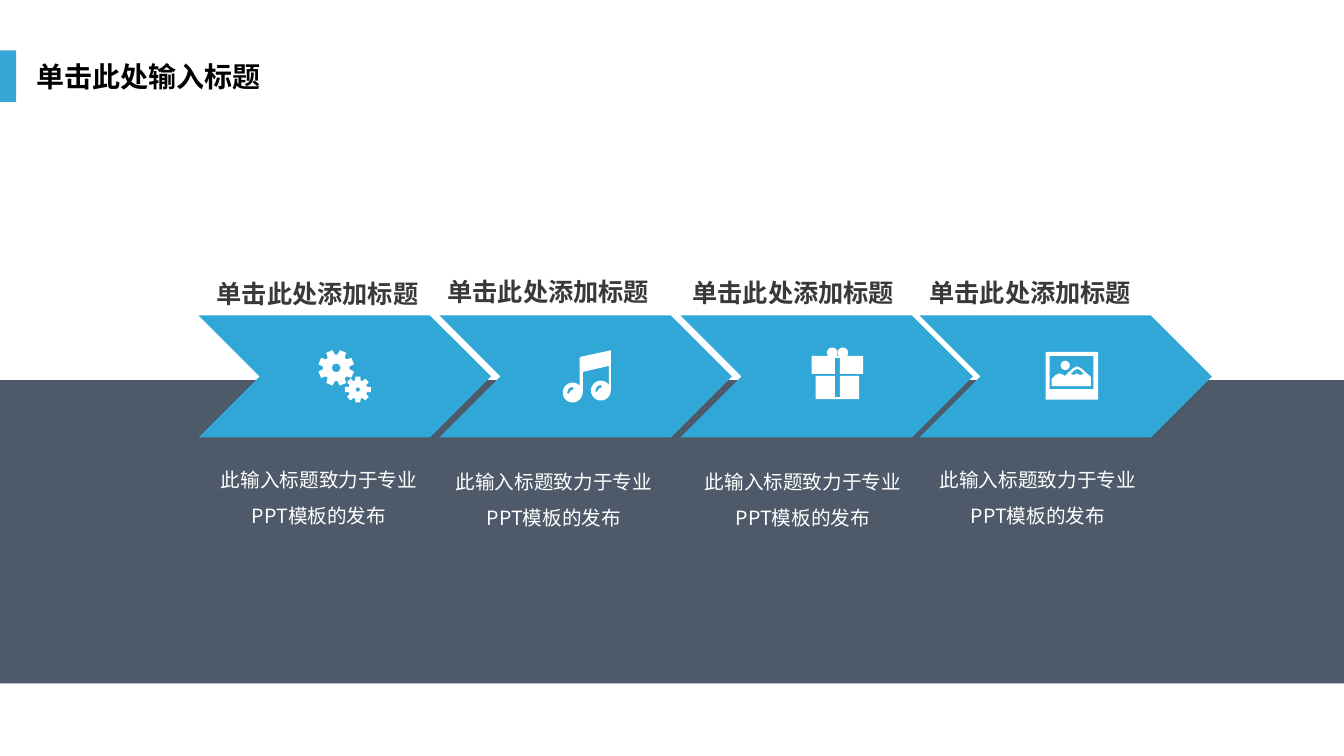
"""Build a slide with four chevron steps, each with an icon, a heading and a caption."""
from dataclasses import dataclass
from math import cos, radians, sin

from lxml.etree import SubElement
from pptx import Presentation
from pptx.dml.color import RGBColor
from pptx.enum.shapes import MSO_SHAPE as Preset
from pptx.enum.text import MSO_ANCHOR as Anchor, MSO_AUTO_SIZE as AutoSize, PP_ALIGN as Align
from pptx.oxml.ns import qn
from pptx.shapes.autoshape import Shape
from pptx.slide import Slide
from pptx.util import Emu, Pt

PX = 9144
FINE = 10
FONT = "Noto Sans CJK SC"
ACCENT = RGBColor(0x34, 0xA7, 0xD7)
CHEVRON = RGBColor(0x31, 0xA7, 0xD7)
SLATE = RGBColor(0x4E, 0x5A, 0x6A)
INK = RGBColor(0x3B, 0x38, 0x38)
BLACK = RGBColor(0, 0, 0)
WHITE = RGBColor(0xFF, 0xFF, 0xFF)

Point = tuple[float, float]
Contour = list[Point]
Piece = list[Contour]


@dataclass(frozen=True)
class Box:
    left: int
    top: int
    width: int
    height: int

    def emu(self) -> tuple[Emu, ...]:
        return tuple(Emu(n * PX) for n in (self.left, self.top, self.width, self.height))


@dataclass(frozen=True)
class TextStyle:
    size: int
    color: RGBColor
    bold: bool = False
    align: Align = Align.LEFT
    line_spacing: float = 1.0
    wrap: bool = True


@dataclass(frozen=True)
class Step:
    chevron_left: int
    heading: Box
    caption: Box
    icon: list[Piece]


TITLE = TextStyle(20, BLACK, bold=True)
HEADING = TextStyle(18, INK, bold=True, wrap=False)
CAPTION = TextStyle(14, WHITE, align=Align.CENTER, line_spacing=1.5)


def polar(x: float, y: float, radius: float, angle: float) -> Point:
    return x + radius * cos(radians(angle)), y + radius * sin(radians(angle))


def circle(x: float, y: float, radius: float) -> Contour:
    return [polar(x, y, radius, angle) for angle in range(0, 360, 10)]


def rectangle(left: float, top: float, right: float, bottom: float) -> Contour:
    return [(left, top), (right, top), (right, bottom), (left, bottom)]


def gear(x: float, y: float, outer: float, root: float, hole: float, phase: float) -> Piece:
    profile = ((-17, root), (-11, outer), (11, outer), (17, root))
    teeth = [polar(x, y, radius, phase + 45 * tooth + turn)
             for tooth in range(8) for turn, radius in profile]
    return [teeth, circle(x, y, hole)]


def note_head(x: float, y: float) -> Piece:
    glint = [(0, -2.5), (-2, -2), (-3, 0), (-4.5, 1.5), (-5.5, 0.5),
             (-4.5, -3), (-2.5, -5), (0, -5.5), (1.2, -4)]
    return [circle(x, y, 9.8), [(x + dx, y + dy) for dx, dy in glint]]


GEARS = [gear(333.5, 365, 18, 13.2, 4.2, 22.5), gear(355, 386.5, 13, 9.4, 2.1, 0)]
MUSIC = [
    [[(606, 347.5), (576, 354), (575, 355), (575, 390), (578, 390),
      (578, 369), (604, 363), (604, 388), (606, 388)]],
    note_head(568, 389.5),
    note_head(596, 387.5),
]
GIFT = [
    [circle(825.5, 350, 5.2)],
    [circle(836, 350, 5.2)],
    [[(805, 353), (856, 353), (856, 371), (833, 371), (833, 355),
      (828, 355), (828, 371), (805, 371)]],
    [[(809, 373), (828, 373), (828, 394), (833, 394), (833, 373),
      (852, 373), (852, 396), (809, 396)]],
]
PHOTO = [
    [rectangle(1037, 349, 1089, 396.5), rectangle(1041, 353, 1084.5, 386)],
    [circle(1056.5, 362.5, 4.5)],
    [[(1043, 376), (1047, 372), (1051, 370.5), (1055, 372), (1056, 373),
      (1064, 365.5), (1068, 363.5), (1072, 365), (1082, 374), (1082, 383), (1043, 383)],
     [(1071, 372), (1069, 371), (1068, 370.5), (1065, 372), (1062, 371),
      (1066, 367), (1069, 366), (1071, 367), (1075, 371)]],
]

STEPS = [
    Step(197, Box(205, 271, 222, 40), Box(199, 448, 235, 81), GEARS),
    Step(436, Box(434, 269, 222, 40), Box(432, 450, 235, 81), MUSIC),
    Step(675, Box(677, 270, 222, 40), Box(679, 450, 235, 81), GIFT),
    Step(912, Box(912, 270, 222, 40), Box(912, 448, 235, 81), PHOTO),
]


def paint(shape: Shape, color: RGBColor) -> None:
    shape.shadow.inherit = False
    shape.fill.solid()
    shape.fill.fore_color.rgb = color
    shape.line.fill.background()


def draw_preset(page: Slide, preset: Preset, box: Box, color: RGBColor) -> None:
    paint(page.shapes.add_shape(preset, *box.emu()), color)


def draw_piece(page: Slide, piece: Piece, color: RGBColor) -> None:
    outline, *holes = [[(round(x * FINE), round(y * FINE)) for x, y in contour]
                       for contour in piece]
    builder = page.shapes.build_freeform(*outline[0], scale=PX / FINE)
    builder.add_line_segments(outline[1:], close=True)
    for hole in holes:
        builder.move_to(*hole[0])
        builder.add_line_segments(hole[1:], close=True)
    paint(builder.convert_to_shape(), color)


def write(shape: Shape, text: str, style: TextStyle) -> None:
    frame = shape.text_frame
    frame.text = text
    frame.word_wrap = style.wrap
    frame.auto_size = AutoSize.NONE
    frame.vertical_anchor = Anchor.TOP
    para = frame.paragraphs[0]
    para.alignment = style.align
    para.line_spacing = style.line_spacing
    span = para.runs[0]
    span.font.name = FONT
    span.font.size = Pt(style.size)
    span.font.bold = style.bold
    span.font.color.rgb = style.color
    SubElement(span.font._element, qn("a:ea"), typeface=FONT)


def draw_text(page: Slide, box: Box, text: str, style: TextStyle) -> None:
    write(page.shapes.add_textbox(*box.emu()), text, style)


def draw_step(page: Slide, step: Step) -> None:
    draw_preset(page, Preset.CHEVRON, Box(step.chevron_left, 313, 290, 121), CHEVRON)
    for piece in step.icon:
        draw_piece(page, piece, WHITE)
    draw_text(page, step.heading, "单击此处添加标题", HEADING)
    draw_text(page, step.caption, "此输入标题致力于专业PPT模板的发布", CAPTION)


def main() -> None:
    deck = Presentation()
    deck.slide_width, deck.slide_height = Emu(1333 * PX), Emu(750 * PX)
    page = deck.slides.add_slide(deck.slide_layouts[5])
    title = page.shapes.title
    title.left, title.top, title.width, title.height = Box(26, 54, 338, 44).emu()
    write(title, "单击此处输入标题", TITLE)
    draw_preset(page, Preset.RECTANGLE, Box(0, 50, 16, 51), ACCENT)
    draw_preset(page, Preset.RECTANGLE, Box(0, 377, 1333, 301), SLATE)
    for step in STEPS:
        draw_step(page, step)
    deck.save("out.pptx")


if __name__ == "__main__":
    main()
